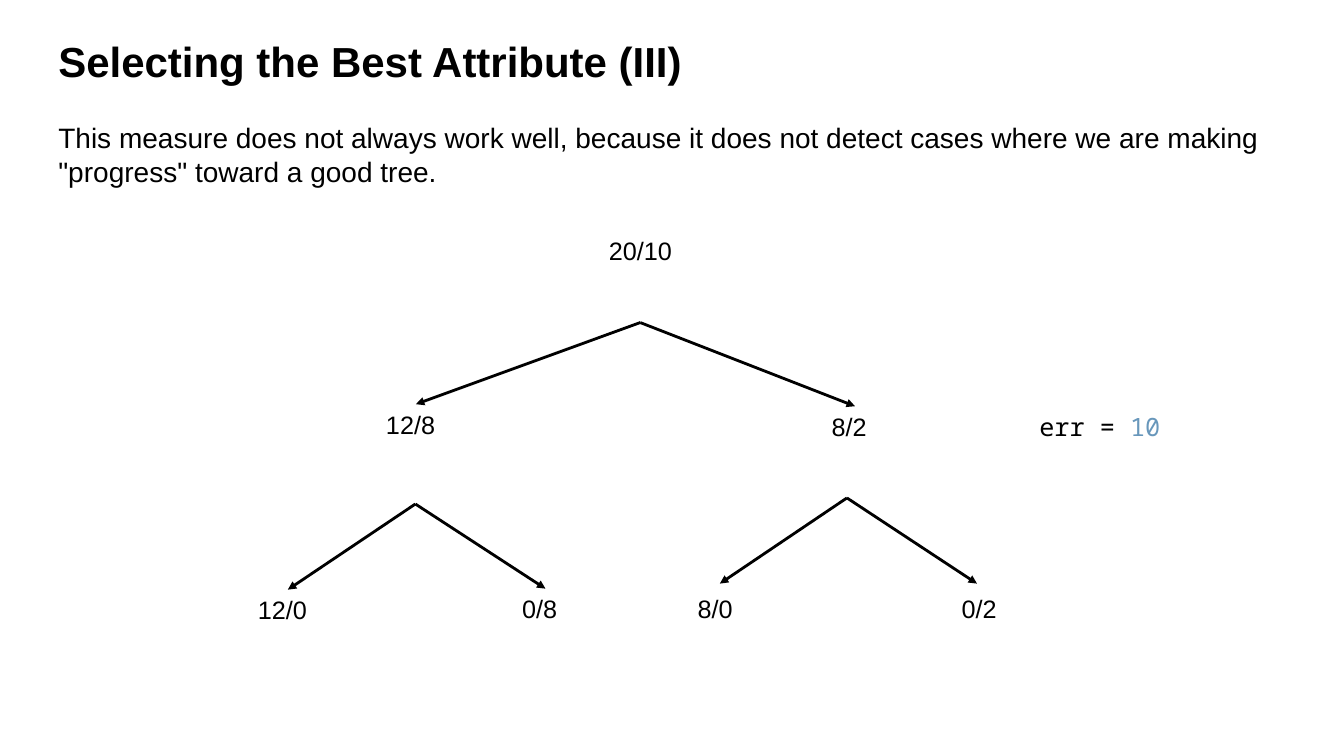
import pptx
import pptx.dml.color
import pptx.enum.shapes
import pptx.enum.text
import pptx.oxml
import pptx.oxml.ns
import pptx.util

PX_PER_INCH = 100
SLIDE_SIZE = (1333, 750)
BLACK = "000000"
NUMBER_BLUE = "6897BB"
SANS = "Arial"
MONO = "Noto Sans Mono"
TOP_SIDE = 0

TITLE = "Selecting the Best Attribute (III)"
BODY = ('This measure does not always work well, because it does not detect '
        'cases where we are making "progress" toward a good tree.')
ERROR_SPANS = [("err = ", BLACK), ("10", NUMBER_BLUE)]

NODES = {
    "20/10": (594, 229, 89),
    "12/8": (373, 401, 79),
    "8/2": (815, 403, 66),
    "12/0": (246, 585, 79),
    "0/8": (508, 584, 66),
    "8/0": (682, 584, 79),
    "0/2": (944, 584, 66),
}
NODE_HEIGHT = 40

JOINED_BRANCHES = [
    ((635, 320), ["12/8", "8/2"]),
    ((412, 500), ["12/0", "0/8"]),
]
FREE_BRANCHES = [
    ((840, 494), [(714, 579), (969, 579)]),
]


def px(length):
    return pptx.util.Emu(round(length * 914400 / PX_PER_INCH))


def color(value):
    return pptx.dml.color.RGBColor.from_string(value)


def add_text(page, place, spans, size, font=SANS, bold=False, middle=False):
    box = page.shapes.add_textbox(*map(px, place))
    frame = box.text_frame
    frame.word_wrap = True
    if middle:
        frame.vertical_anchor = pptx.enum.text.MSO_ANCHOR.MIDDLE
    para = frame.paragraphs[0]
    for text, tint in spans:
        span = para.add_run()
        span.text = text
        span.font.name = font
        span.font.size = pptx.util.Pt(size)
        span.font.bold = bold
        span.font.color.rgb = color(tint)
    return box


def add_arrow(page, start, end):
    arrow = page.shapes.add_connector(
        pptx.enum.shapes.MSO_CONNECTOR.STRAIGHT, *map(px, start + end))
    arrow.line.width = pptx.util.Pt(2)
    arrow.line.color.rgb = color(BLACK)
    namespace = pptx.oxml.ns.nsdecls("a")
    line = arrow.line._get_or_add_ln()
    line.append(pptx.oxml.parse_xml(f'<a:tailEnd {namespace} type="triangle"/>'))
    arrow._element.spPr.append(pptx.oxml.parse_xml(f"<a:effectLst {namespace}/>"))
    return arrow


def main():
    deck = pptx.Presentation()
    deck.slide_width, deck.slide_height = map(px, SLIDE_SIZE)
    page = deck.slides.add_slide(deck.slide_layouts[6])

    add_text(page, (48, 29, 1238, 63), [(TITLE, BLACK)], 30, bold=True, middle=True)
    add_text(page, (48, 115, 1238, 85), [(BODY, BLACK)], 20)

    boxes = {}
    for label, (left, top, width) in NODES.items():
        place = (left, top, width, NODE_HEIGHT)
        boxes[label] = add_text(page, place, [(label, BLACK)], 18)

    for fork, children in JOINED_BRANCHES:
        for child in children:
            left, top, width = NODES[child]
            arrow = add_arrow(page, fork, (left + width / 2, top))
            arrow.end_connect(boxes[child], TOP_SIDE)
    for fork, tips in FREE_BRANCHES:
        for tip in tips:
            add_arrow(page, fork, tip)

    add_text(page, (1021, 403, 184, 71), ERROR_SPANS, 18, font=MONO)
    deck.save("out.pptx")


if __name__ == "__main__":
    main()
